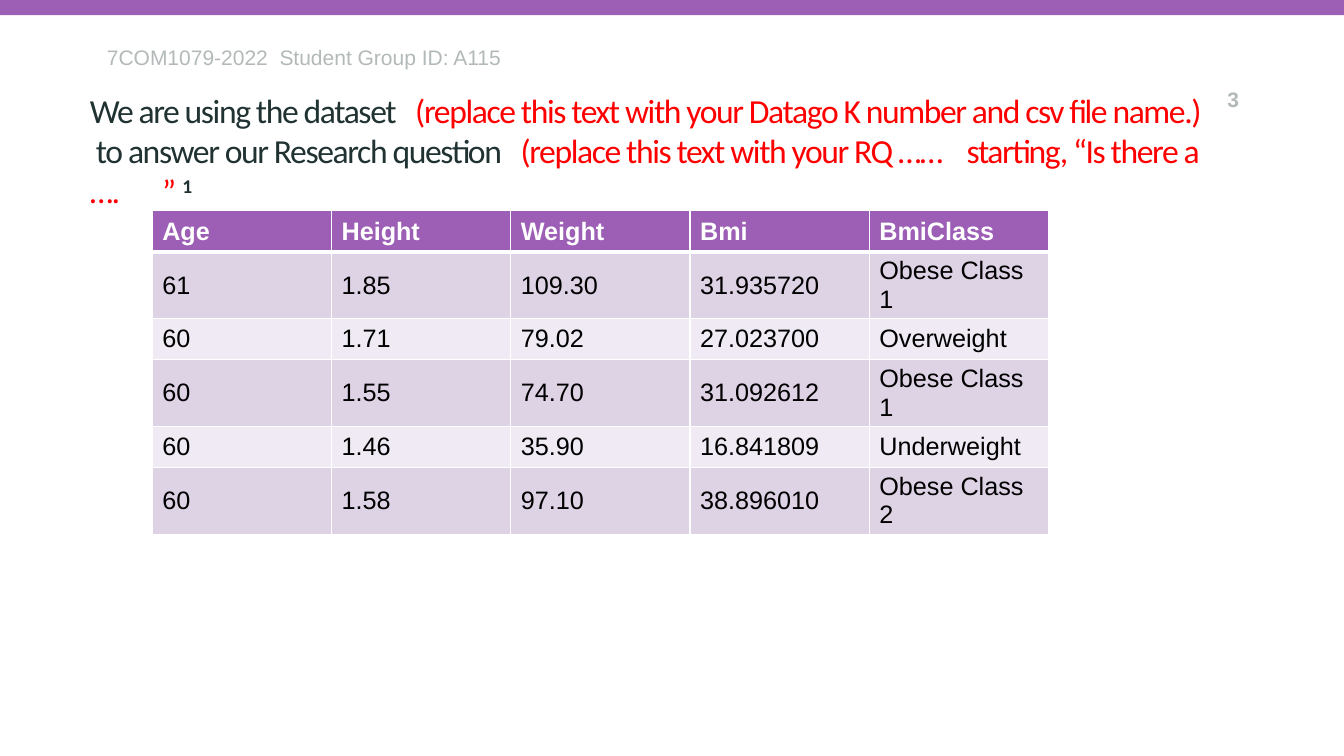
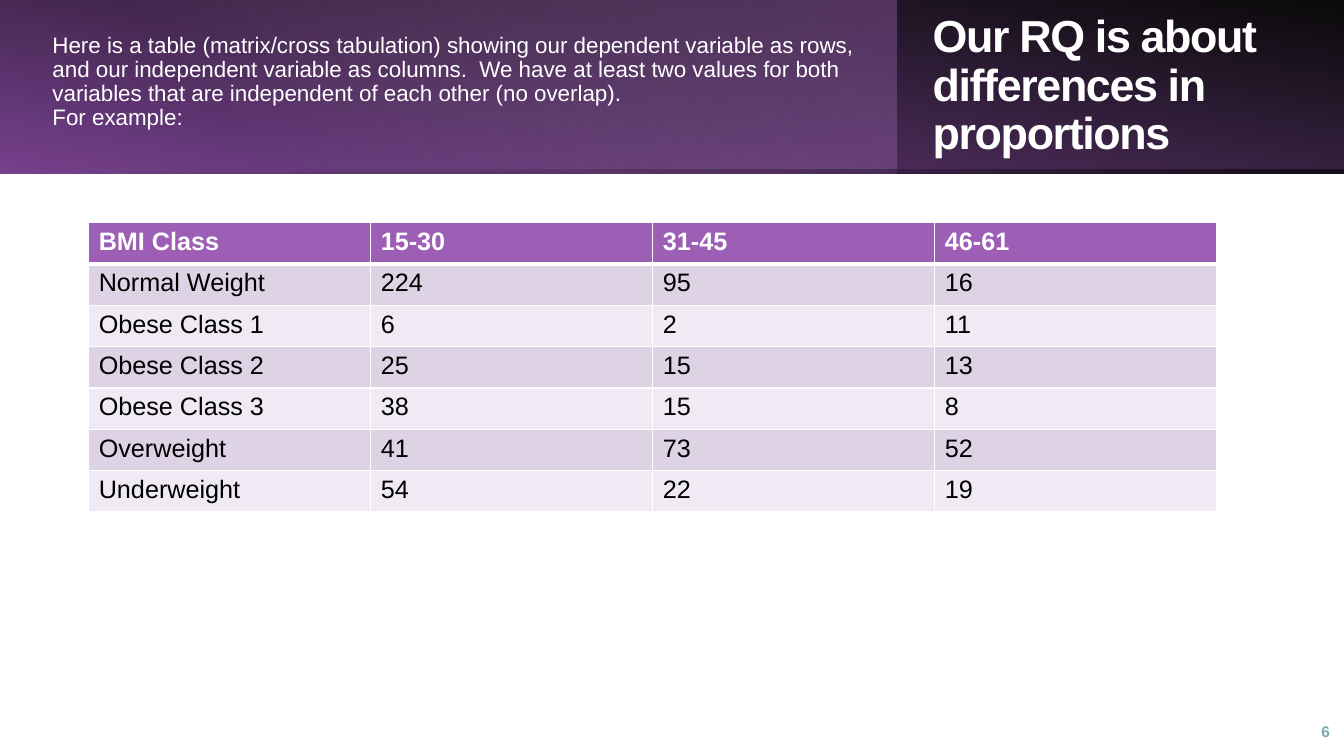
import pptx
import pptx.util
import pptx.dml.color
import pptx.enum.shapes
import pptx.enum.text
import pptx.oxml
import pptx.oxml.ns

Inches = pptx.util.Inches
Pt = pptx.util.Pt
ANCHOR = pptx.enum.text.MSO_ANCHOR
ALIGN = pptx.enum.text.PP_ALIGN
RECTANGLE = pptx.enum.shapes.MSO_SHAPE.RECTANGLE

# Shared look
WIDTH, HEIGHT = 13.33, 7.5
BANNER_HEIGHT = 1.72
ROW_HEIGHT = 0.41
PURPLE, WHITE, BLACK = "9C5FB5", "FFFFFF", "000000"
ROW_FILLS = ["DED2E5", "EFEAF3"]
INK, RED, GREY, TEAL = "203232", "FF0000", "B3B9B9", "7DABAB"

# Content
HEADER = "7COM1079-2022  Student Group ID: A115"
QUESTION_STYLE = dict(size=24, font="Calibri", spacing=-1)
QUESTION = [
    ("We are using the dataset", dict(color=INK)),
    ("   (replace this text with your Datago K number and csv file name.) ", dict(color=RED)),
    (" to answer our Research question  ", dict(color=INK)),
    (" (replace this text with your RQ ……    starting, “Is there a ….       ” ", dict(color=RED)),
    ("1", dict(color=INK, bold=True, raised=30)),
]
SAMPLE_ROWS = [
    ["Age", "Height", "Weight", "Bmi", "BmiClass"],
    ["61", "1.85", "109.30", "31.935720", "Obese Class 1"],
    ["60", "1.71", "79.02", "27.023700", "Overweight"],
    ["60", "1.55", "74.70", "31.092612", "Obese Class 1"],
    ["60", "1.46", "35.90", "16.841809", "Underweight"],
    ["60", "1.58", "97.10", "38.896010", "Obese Class 2"],
]
PROPORTIONS_TITLE = "Our RQ is about differences in proportions"
EXPLANATION = [
    "Here is a table (matrix/cross tabulation) showing our dependent variable as rows, "
    "and our independent variable as columns.  We have at least two values for both "
    "variables that are independent of each other (no overlap).",
    "For example:",
]
CROSS_TABLE_ROWS = [
    ["BMI Class", "15-30", "31-45", "46-61"],
    ["Normal Weight", "224", "95", "16"],
    ["Obese Class 1", "6", "2", "11"],
    ["Obese Class 2", "25", "15", "13"],
    ["Obese Class 3", "38", "15", "8"],
    ["Overweight", "41", "73", "52"],
    ["Underweight", "54", "22", "19"],
]
# Banner layers: width, flip, rotation, angle, stops (position, colour, opacity)
BANNER_LAYERS = [
    (WIDTH, True, 180, 260, [(0, BLACK, 96), (100, "77418E", 100)]),
    (8.89, False, 0, 320, [(26, "C49FD3", 0), (100, PURPLE, 41)]),
    (WIDTH, True, 0, 100, [(22, PURPLE, 15), (100, BLACK, 63)]),
]


def rgb(value):
    return pptx.dml.color.RGBColor.from_string(value)


def xml(text):
    namespace = pptx.oxml.ns.nsdecls("a")
    return pptx.oxml.parse_xml(text.replace(" ", f" {namespace} ", 1))


def add_run(paragraph, text, size=18, color=BLACK, font="Arial", bold=False,
            spacing=0, raised=0):
    run = paragraph.add_run()
    run.text = text
    run.font.size = Pt(size)
    run.font.name = font
    run.font.bold = bold
    run.font.color.rgb = rgb(color)
    properties = run.font._element
    if spacing:
        properties.set("spc", str(spacing * 100))
    if raised:
        properties.set("baseline", str(raised * 1000))


def fill_text(shape, box, paragraphs, inset=None, anchor=ANCHOR.TOP, align=ALIGN.LEFT,
              line=1.0, before=0, after=0, **style):
    """Place a text shape in front; each paragraph is a list of (text, style) runs."""
    shape.left, shape.top, shape.width, shape.height = map(Inches, box)
    shape._element.getparent().append(shape._element)
    frame = shape.text_frame
    frame.word_wrap = True
    frame.auto_size = pptx.enum.text.MSO_AUTO_SIZE.NONE
    frame.vertical_anchor = anchor
    if inset is not None:
        frame.margin_left = frame.margin_right = Inches(inset)
        frame.margin_top = frame.margin_bottom = Inches(inset)
    for index, runs in enumerate(paragraphs):
        paragraph = frame.add_paragraph() if index else frame.paragraphs[0]
        properties = paragraph._p.get_or_add_pPr()
        properties.set("marL", "0")
        properties.set("indent", "0")
        properties.append(xml("<a:buNone />"))
        paragraph.alignment = align
        paragraph.line_spacing = line
        paragraph.space_before = Pt(before)
        paragraph.space_after = Pt(after)
        for text, run_style in runs:
            add_run(paragraph, text, **{**style, **run_style})


def add_text(slide, box, text, **options):
    shape = slide.shapes.add_textbox(0, 0, 0, 0)
    fill_text(shape, box, [[(text, {})]], **options)


def add_rectangle(slide, width, height, color):
    shape = slide.shapes.add_shape(RECTANGLE, 0, 0, Inches(width), Inches(height))
    shape.shadow.inherit = False
    shape.line.fill.background()
    shape.fill.solid()
    shape.fill.fore_color.rgb = rgb(color)
    return shape


def add_gradient_layer(slide, width, flip, rotation, angle, stops):
    shape = add_rectangle(slide, width, BANNER_HEIGHT, PURPLE)
    shape.rotation = rotation
    properties = shape._element.spPr
    if flip:
        properties.xfrm.set("flipH", "1")
    stop_list = "".join(
        f'<a:gs pos="{position * 1000}"><a:srgbClr val="{color}">'
        f'<a:alpha val="{opacity * 1000}"/></a:srgbClr></a:gs>'
        for position, color, opacity in stops)
    gradient = xml(f'<a:gradFill rotWithShape="1"><a:gsLst>{stop_list}</a:gsLst>'
                   f'<a:lin ang="{angle * 60000}" scaled="0"/></a:gradFill>')
    solid = properties.find(pptx.oxml.ns.qn("a:solidFill"))
    properties.replace(solid, gradient)


def add_data_table(slide, left, top, width, rows, anchor):
    column_count = len(rows[0])
    table = slide.shapes.add_table(
        len(rows), column_count, Inches(left), Inches(top), Inches(width),
        Inches(ROW_HEIGHT * len(rows))).table
    for column in table.columns:
        column.width = Inches(width / column_count)
    for row_index, row in enumerate(rows):
        table.rows[row_index].height = Inches(ROW_HEIGHT)
        is_header = row_index == 0
        for column_index, text in enumerate(row):
            cell = table.cell(row_index, column_index)
            cell.vertical_anchor = anchor
            # The rule under the header row is thicker
            thick_side = {0: "B", 1: "T"}.get(row_index)
            for side in "LRTB":
                weight = Pt(3 if side == thick_side else 1)
                cell._tc.get_or_add_tcPr().append(xml(
                    f'<a:ln{side} w="{weight}"><a:solidFill><a:srgbClr val="{WHITE}"/>'
                    f'</a:solidFill></a:ln{side}>'))
            cell.fill.solid()
            cell.fill.fore_color.rgb = rgb(PURPLE if is_header else ROW_FILLS[(row_index - 1) % 2])
            add_run(cell.text_frame.paragraphs[0], text, bold=is_header,
                    color=WHITE if is_header else BLACK)


def build_dataset_slide(presentation):
    slide = presentation.slides.add_slide(presentation.slide_layouts[5])
    # The top band belongs to the master, behind everything
    band = add_rectangle(slide, WIDTH, 0.15, PURPLE)
    presentation.slide_master.shapes._spTree.insert(2, band._element)
    fill_text(slide.shapes.title, (0.89, 0.89, 11.06, 1.2), [QUESTION], inset=0,
              line=Pt(28.8), after=9.9, **QUESTION_STYLE)
    add_text(slide, (1.06, 0.44, 9.98, 0.25), HEADER, inset=0, size=15, color=GREY)
    add_text(slide, (11.61, 0.86, 0.68, 0.25), "3", inset=0, align=ALIGN.RIGHT,
             size=15, color=GREY, bold=True)
    add_data_table(slide, 1.51, 2.09, 8.89, SAMPLE_ROWS, ANCHOR.MIDDLE)


def build_proportions_slide(presentation):
    slide = presentation.slides.add_slide(presentation.slide_layouts[1])
    # Banner over a plain white backdrop
    add_rectangle(slide, WIDTH, HEIGHT, WHITE)
    for layer in BANNER_LAYERS:
        add_gradient_layer(slide, *layer)
    fill_text(slide.placeholders[1], (0.42, 0.06, 8.24, 1.51),
              [[(text, {})] for text in EXPLANATION], anchor=ANCHOR.MIDDLE, line=0.9,
              size=16, color=WHITE)
    fill_text(slide.shapes.title, (9.15, 0.38, 3.54, 0.96), [[(PROPORTIONS_TITLE, {})]],
              anchor=ANCHOR.MIDDLE, line=0.9, before=10, after=9.9,
              size=32, color=WHITE, bold=True, spacing=-1)
    add_text(slide, (12.8, 7.06, 0.49, 0.4), "6", anchor=ANCHOR.MIDDLE, align=ALIGN.RIGHT,
             after=6, size=11, color=TEAL, bold=True)
    add_data_table(slide, 0.88, 2.21, 11.19, CROSS_TABLE_ROWS, ANCHOR.TOP)


def main():
    presentation = pptx.Presentation()
    presentation.slide_width = Inches(WIDTH)
    presentation.slide_height = Inches(HEIGHT)
    build_dataset_slide(presentation)
    build_proportions_slide(presentation)
    presentation.save("out.pptx")


if __name__ == "__main__":
    main()
